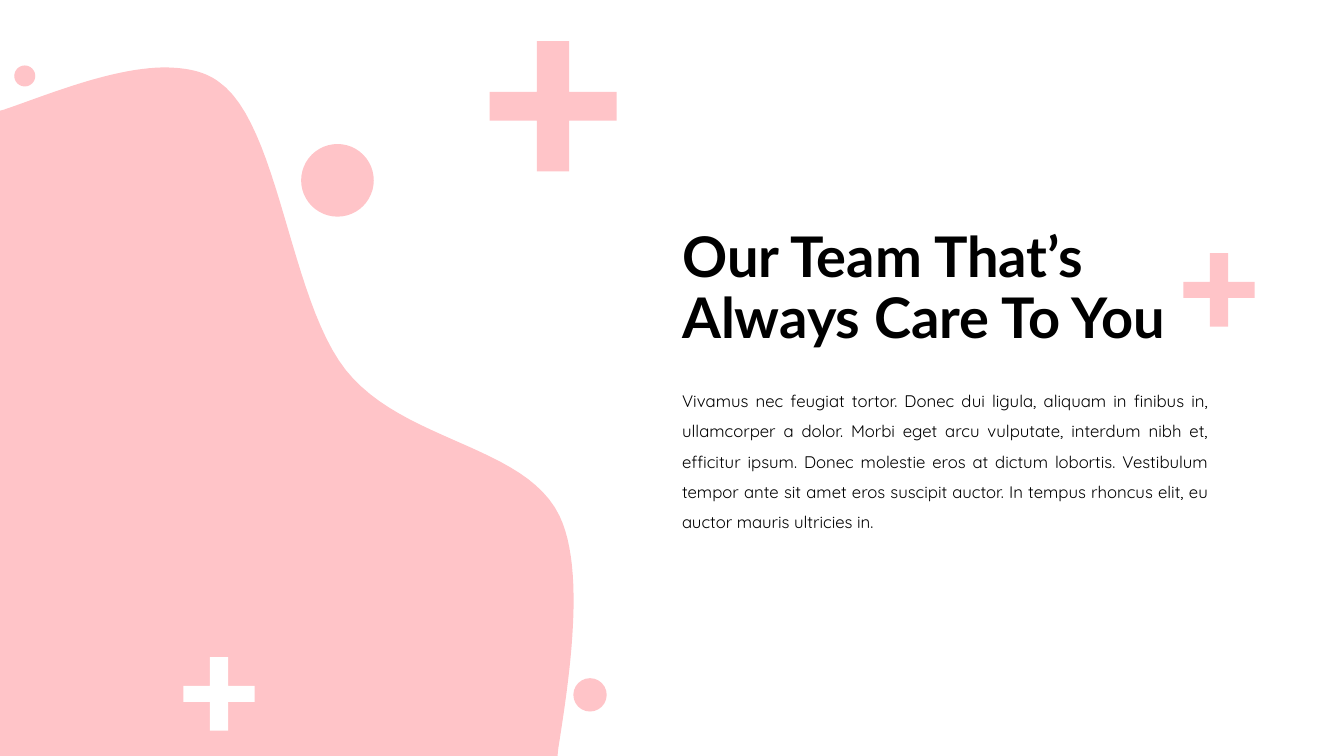
from typing import NamedTuple

from pptx import Presentation
from pptx.dml.color import RGBColor
from pptx.enum.shapes import MSO_SHAPE as Shape
from pptx.enum.text import MSO_ANCHOR as Anchor, MSO_AUTO_SIZE as AutoSize, PP_ALIGN as Align
from pptx.util import Cm, Pt

PINK, WHITE, BLACK = "FFC4C8", "FFFFFF", "000000"
CURVE_STEPS = 24

Point = tuple[float, float]


class Plus(NamedTuple):
    left: float
    top: float
    width: float
    height: float
    color: str


class Dot(NamedTuple):
    left: float
    top: float
    size: float


PLUSES = [
    Plus(29.82, 6.38, 1.8, 1.85, PINK),
    Plus(4.62, 16.56, 1.8, 1.85, WHITE),
    Plus(12.34, 1.04, 3.2, 3.28, PINK),
]
DOTS = [Dot(7.59, 3.63, 1.83), Dot(14.45, 17.09, 0.84), Dot(0.36, 1.65, 0.53)]

# One point is a straight step; three points are a Bézier step.
BLOB_START = (4.09, 1.7)
BLOB_STEPS = [
    [(2.74, 1.73), (1.07, 2.44), (0.08, 2.77)],
    [(0, 2.79)],
    [(0, 19.05)],
    [(14.05, 19.05)],
    [(14.07, 18.85)],
    [(14.35, 17.09), (14.76, 14.38), (14.1, 13)],
    [(13.23, 11.2), (10.16, 11.15), (8.71, 9.32)],
    [(7.29, 7.52), (7.04, 3.12), (5.51, 2.06)],
    [(5.13, 1.78), (4.65, 1.7), BLOB_START],
]

TITLE = "Our Team That’s Always Care To You"
BODY = (
    "Vivamus nec feugiat tortor. Donec dui ligula, aliquam in finibus in, "
    "ullamcorper a dolor. Morbi eget arcu vulputate, interdum nibh et, "
    "efficitur ipsum. Donec molestie eros at dictum lobortis. Vestibulum "
    "tempor ante sit amet eros suscipit auctor. In tempus rhoncus elit, eu "
    "auctor mauris ultricies in."
)


def rgb(color: str) -> RGBColor:
    return RGBColor.from_string(color)


def paint(sp, color: str) -> None:
    sp.shadow.inherit = False
    sp.fill.solid()
    sp.fill.fore_color.rgb = rgb(color)
    sp.line.fill.background()


def bezier(a: Point, b: Point, c: Point, d: Point) -> list[Point]:
    """Return points along a cubic curve, without its start."""
    points = []
    for i in range(1, CURVE_STEPS + 1):
        t = i / CURVE_STEPS
        u = 1 - t
        weights = (u**3, 3 * u * u * t, 3 * u * t * t, t**3)
        x, y = (sum(w * v for w, v in zip(weights, axis)) for axis in zip(a, b, c, d))
        points.append((x, y))
    return points


def add_outline(s, points: list[Point], color: str) -> None:
    start, *rest = [(Cm(x), Cm(y)) for x, y in points]
    builder = s.shapes.build_freeform(*start)
    builder.add_line_segments(rest, close=True)
    paint(builder.convert_to_shape(), color)


def add_blob(s) -> None:
    points = [BLOB_START]
    for step in BLOB_STEPS:
        points += bezier(points[-1], *step) if len(step) == 3 else step
    add_outline(s, points, PINK)


def add_plus(s, plus: Plus) -> None:
    x0, y0 = plus.left, plus.top
    x3, y3 = x0 + plus.width, y0 + plus.height
    x1, x2 = x0 + 0.373 * plus.width, x3 - 0.373 * plus.width
    y1, y2 = y0 + 0.39 * plus.height, y3 - 0.39 * plus.height
    add_outline(s, [
        (x1, y0), (x2, y0), (x2, y1), (x3, y1), (x3, y2), (x2, y2),
        (x2, y3), (x1, y3), (x1, y2), (x0, y2), (x0, y1), (x1, y1),
    ], plus.color)


def add_dot(s, dot: Dot) -> None:
    sp = s.shapes.add_shape(Shape.OVAL, Cm(dot.left), Cm(dot.top), Cm(dot.size), Cm(dot.size))
    paint(sp, PINK)


def write(sp, text: str, font: str, size: int, bold: bool, align: Align, spacing: float) -> None:
    tf = sp.text_frame
    tf.text = text
    tf.word_wrap = True
    p = tf.paragraphs[0]
    p.alignment = align
    p.line_spacing = spacing
    r = p.runs[0]
    r.font.name = font
    r.font.size = Pt(size)
    r.font.bold = bold
    r.font.color.rgb = rgb(BLACK)


def add_title(s) -> None:
    sp = s.shapes.title
    sp.left, sp.top, sp.width, sp.height = Cm(16.94), Cm(5.46), Cm(14.6), Cm(3.68)
    write(sp, TITLE, "Lato", 40, True, Align.LEFT, 0.9)
    sp.text_frame.vertical_anchor = Anchor.MIDDLE
    sp.text_frame.auto_size = AutoSize.NONE


def add_body(s) -> None:
    sp = s.shapes.add_textbox(Cm(16.94), Cm(9.47), Cm(13.77), Cm(4.11))
    write(sp, BODY, "Quicksand", 12, False, Align.JUSTIFY, 1.5)
    sp.text_frame.auto_size = AutoSize.SHAPE_TO_FIT_TEXT


def main() -> None:
    prs = Presentation()
    prs.slide_width, prs.slide_height = Cm(33.87), Cm(19.05)
    s = prs.slides.add_slide(prs.slide_layouts[5])
    add_blob(s)
    for dot in DOTS:
        add_dot(s, dot)
    for plus in PLUSES:
        add_plus(s, plus)
    add_title(s)
    add_body(s)
    prs.save("out.pptx")


if __name__ == "__main__":
    main()
